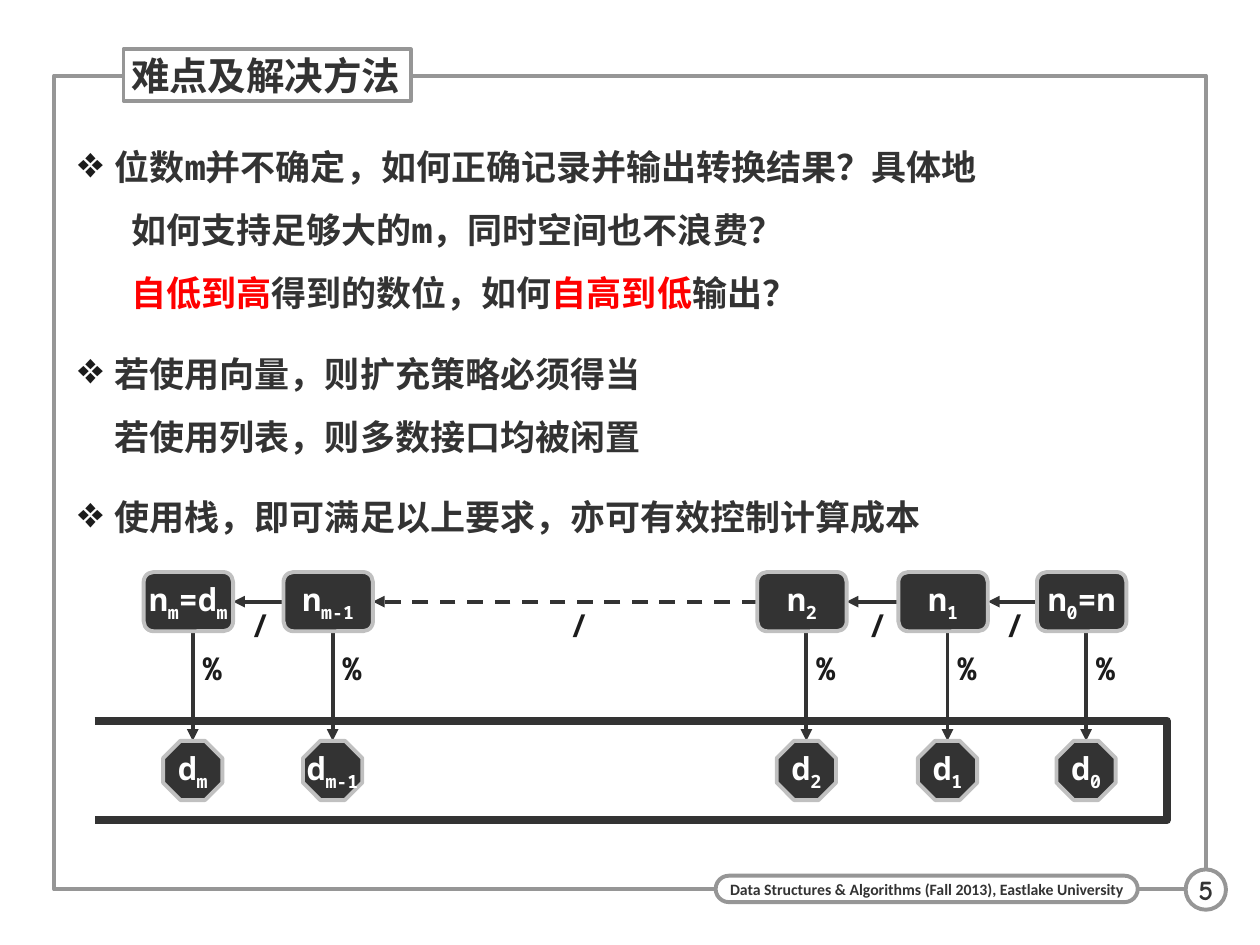
from dataclasses import dataclass
from typing import Optional

from lxml import etree
from pptx import Presentation
from pptx import util as u
from pptx.dml.color import RGBColor
from pptx.enum import dml, shapes, text
from pptx.oxml import ns


@dataclass(frozen=True)
class Theme:
    ink: str = "333333"
    label: str = "1C1C1C"
    paper: str = "FFFFFF"
    frame: str = "969696"
    rim: str = "C0C0C0"
    accent: str = "FF0000"
    mono: str = "Noto Sans Mono"
    footer_font: str = "Calibri"
    number_font: str = "Comic Neue"
    title_size: float = 22
    body_size: float = 20
    node_size: float = 18
    number_size: float = 16
    footer_size: float = 9
    line: float = 2.25
    stack_line: float = 4.5


@dataclass(frozen=True)
class Span:
    words: str
    color: str = ""
    subscript: bool = False


@dataclass(frozen=True)
class Step:
    """One number of the division chain, with the digit pushed below it."""
    axis: float
    number: list[Span]
    digit: str
    slash_left: Optional[float] = None  # label of the arrow from the next step
    dashed: bool = False


THEME = Theme()
OUTLINE = shapes.MSO_SHAPE
CENTER, LEFT = text.PP_ALIGN.CENTER, text.PP_ALIGN.LEFT

# Sizes and rows of the chain
BOX_W, BOX_H, BOX_TOP, BOX_SHIFT = 0.71, 0.47, 4.54, 0.39
DIGIT_SIZE, DIGIT_TOP = 0.47, 5.88
LABEL_W, LABEL_H = 0.15, 0.3


def sub(words: str) -> Span:
    return Span(words, subscript=True)


STEPS = [
    Step(1.53, [Span("n"), sub("m"), Span("=d"), sub("m")], "m", 1.99),
    Step(2.64, [Span("n"), sub("m-1")], "m-1", 4.52, dashed=True),
    Step(6.4, [Span("n"), sub("2")], "2", 6.89),
    Step(7.52, [Span("n"), sub("1")], "1", 7.98),
    Step(8.62, [Span("n"), sub("0"), Span("=n")], "0"),
]

# Each bullet is a list of lines, each line a list of spans
BULLETS = [
    [
        [Span("位数m并不确定，如何正确记录并输出转换结果？具体地")],
        [Span("\t如何支持足够大的m，同时空间也不浪费？")],
        [Span("\t"), Span("自低到高", THEME.accent), Span("得到的数位，如何"),
         Span("自高到低", THEME.accent), Span("输出？")],
    ],
    [[Span("若使用向量，则扩充策略必须得当")], [Span("若使用列表，则多数接口均被闲置")]],
    [[Span("使用栈，即可满足以上要求，亦可有效控制计算成本")]],
]


def rgb(color: str) -> RGBColor:
    return RGBColor.from_string(color)


def place(*lengths: float) -> list[int]:
    return [u.Inches(value) for value in lengths]


def add_spans(para, spans: list[Span], size: float, color: str, font: str = THEME.mono) -> None:
    for item in spans:
        span = para.add_run()
        span.text = item.words
        span.font.name, span.font.size, span.font.bold = font, u.Pt(size), True
        span.font.color.rgb = rgb(item.color or color)
        if item.subscript:
            span._r.get_or_add_rPr().set("baseline", "-25000")


def write(box, spans: list[Span], size: float, color: str, font: str = THEME.mono,
          align=CENTER, margin: float = 0, before: float = 0) -> None:
    """Put one line of text in the middle of a box."""
    frame = box.text_frame
    frame.word_wrap, frame.auto_size = False, text.MSO_AUTO_SIZE.NONE
    frame.vertical_anchor = text.MSO_ANCHOR.MIDDLE
    frame.margin_left = frame.margin_right = u.Inches(margin)
    frame.margin_top = frame.margin_bottom = 0
    para = frame.paragraphs[0]
    para.alignment, para.space_before = align, u.Pt(before)
    add_spans(para, spans, size, color, font)


def paint(shape, fill: Optional[str], line: str, width: float = THEME.line) -> None:
    if fill:
        shape.fill.solid()
        shape.fill.fore_color.rgb = rgb(fill)
    else:
        shape.fill.background()
    shape.line.color.rgb = rgb(line)
    shape.line.width = u.Pt(width)


def add_shape(page, kind, at: tuple, fill: Optional[str], line: str):
    shape = page.shapes.add_shape(kind, *place(*at))
    shape.shadow.inherit = False
    paint(shape, fill, line)
    return shape


def add_arrow(page, start: tuple, end: tuple, dashed: bool = False) -> None:
    arrow = page.shapes.add_connector(shapes.MSO_CONNECTOR.STRAIGHT, *place(*start, *end))
    arrow.line.color.rgb = rgb(THEME.ink)
    arrow.line.width = u.Pt(THEME.line)
    if dashed:
        arrow.line.dash_style = dml.MSO_LINE.DASH
    etree.SubElement(arrow.line._get_or_add_ln(), ns.qn("a:tailEnd"), type="triangle")
    etree.SubElement(arrow.element.spPr, ns.qn("a:effectLst"))


def add_label(page, words: str, left: float, top: float) -> None:
    box = page.shapes.add_textbox(*place(left, top, LABEL_W, LABEL_H))
    write(box, [Span(words)], THEME.node_size, THEME.label, before=11.2)


def add_step(page, step: Step, following: Optional[Step]) -> None:
    left, middle = step.axis - BOX_SHIFT, BOX_TOP + BOX_H / 2
    if following:
        add_arrow(page, (following.axis - BOX_SHIFT, middle), (left + BOX_W, middle), step.dashed)
        add_label(page, "/", step.slash_left, 4.81)
    add_arrow(page, (step.axis, BOX_TOP + BOX_H), (step.axis, DIGIT_TOP))
    add_label(page, "%", step.axis + 0.08, 5.15)
    nodes = [
        (OUTLINE.ROUNDED_RECTANGLE, (left, BOX_TOP, BOX_W, BOX_H), step.number),
        (OUTLINE.OCTAGON, (step.axis - DIGIT_SIZE / 2, DIGIT_TOP, DIGIT_SIZE, DIGIT_SIZE),
         [Span("d"), sub(step.digit)]),
    ]
    for kind, at, spans in nodes:
        node = add_shape(page, kind, at, THEME.ink, THEME.rim)
        write(node, spans, THEME.node_size, THEME.paper, before=11.2)


def add_bullets(page) -> None:
    frame = page.shapes.add_textbox(*place(0.46, 0.91, 9.11, 5.91)).text_frame
    frame.word_wrap = True
    frame.margin_left, frame.margin_right = u.Inches(0.16), 0
    frame.margin_top = frame.margin_bottom = u.Inches(0.08)
    for index, lines in enumerate(BULLETS):
        para = frame.add_paragraph() if index else frame.paragraphs[0]
        para.line_spacing, para.space_before, para.space_after = 1.5, u.Pt(7.5), u.Pt(2.5)
        props = para._p.get_or_add_pPr()
        props.set("marL", str(u.Inches(0.29)))
        props.set("indent", str(-u.Inches(0.29)))
        bullet_color = etree.SubElement(props, ns.qn("a:buClr"))
        etree.SubElement(bullet_color, ns.qn("a:srgbClr"), val=THEME.label)
        etree.SubElement(props, ns.qn("a:buSzPct"), val="125000")
        etree.SubElement(props, ns.qn("a:buChar"), char="❖")
        tabs = etree.SubElement(props, ns.qn("a:tabLst"))
        etree.SubElement(tabs, ns.qn("a:tab"), pos=str(u.Inches(0.42)), algn="l")
        for number, line in enumerate(lines):
            if number:
                para.add_line_break()
            add_spans(para, line, THEME.body_size, THEME.ink)


def add_stack(page) -> None:
    """The stack is a container open on the left."""
    left, top, right, bottom = place(0.75, 5.72, 9.26, 6.51)
    builder = page.shapes.build_freeform(left, top)
    builder.add_line_segments([(right, top), (right, bottom), (left, bottom)], close=False)
    stack = builder.convert_to_shape()
    stack.shadow.inherit = False
    paint(stack, None, THEME.ink, THEME.stack_line)


def add_frame(page) -> None:
    add_shape(page, OUTLINE.RECTANGLE, (0.43, 0.6, 9.14, 6.46), None, THEME.frame)
    footer = add_shape(page, OUTLINE.ROUNDED_RECTANGLE, (5.68, 6.95, 3.35, 0.21),
                       THEME.paper, THEME.frame)
    footer.adjustments[0] = 0.5
    write(footer, [Span("Data Structures & Algorithms (Fall 2013), Eastlake University")],
          THEME.footer_size, THEME.ink, THEME.footer_font, margin=0.06)
    number = add_shape(page, OUTLINE.OVAL, (9.41, 6.9, 0.32, 0.32), THEME.paper, THEME.frame)
    write(number, [Span("5")], THEME.number_size, THEME.ink, THEME.number_font,
          margin=0.04, before=10)


def add_title(page) -> None:
    title = page.shapes.title
    title.left, title.top, title.width, title.height = place(0.98, 0.39, 2.28, 0.41)
    paint(title, THEME.paper, THEME.frame)
    write(title, [Span("难点及解决方法")], THEME.title_size, THEME.ink, align=LEFT, margin=0.06)
    page.shapes.element.append(title.element)  # in front of the frame


def main() -> None:
    deck = Presentation()
    deck.slide_width, deck.slide_height = u.Inches(10), u.Inches(7.5)
    page = deck.slides.add_slide(deck.slide_layouts[5])
    add_frame(page)
    add_title(page)
    add_bullets(page)
    add_stack(page)
    for step, following in zip(STEPS, STEPS[1:] + [None]):
        add_step(page, step, following)
    deck.save("out.pptx")


if __name__ == "__main__":
    main()
